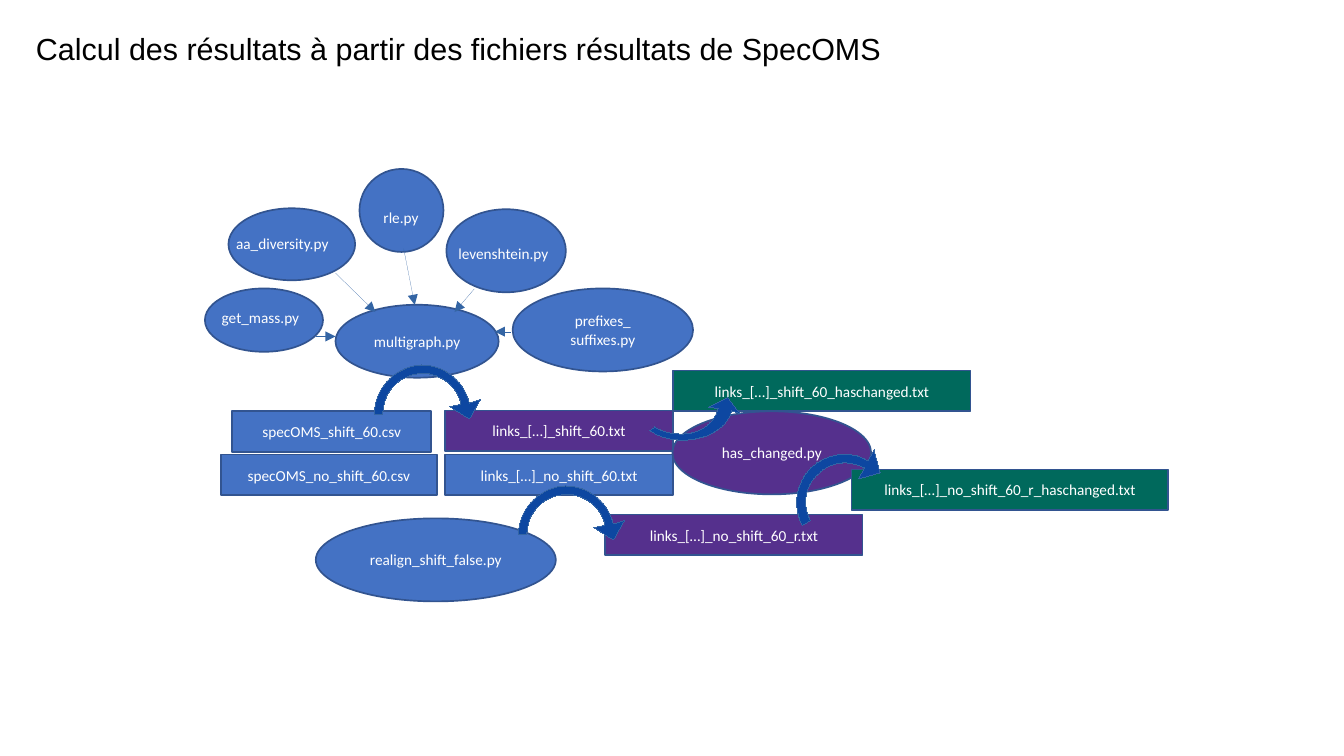
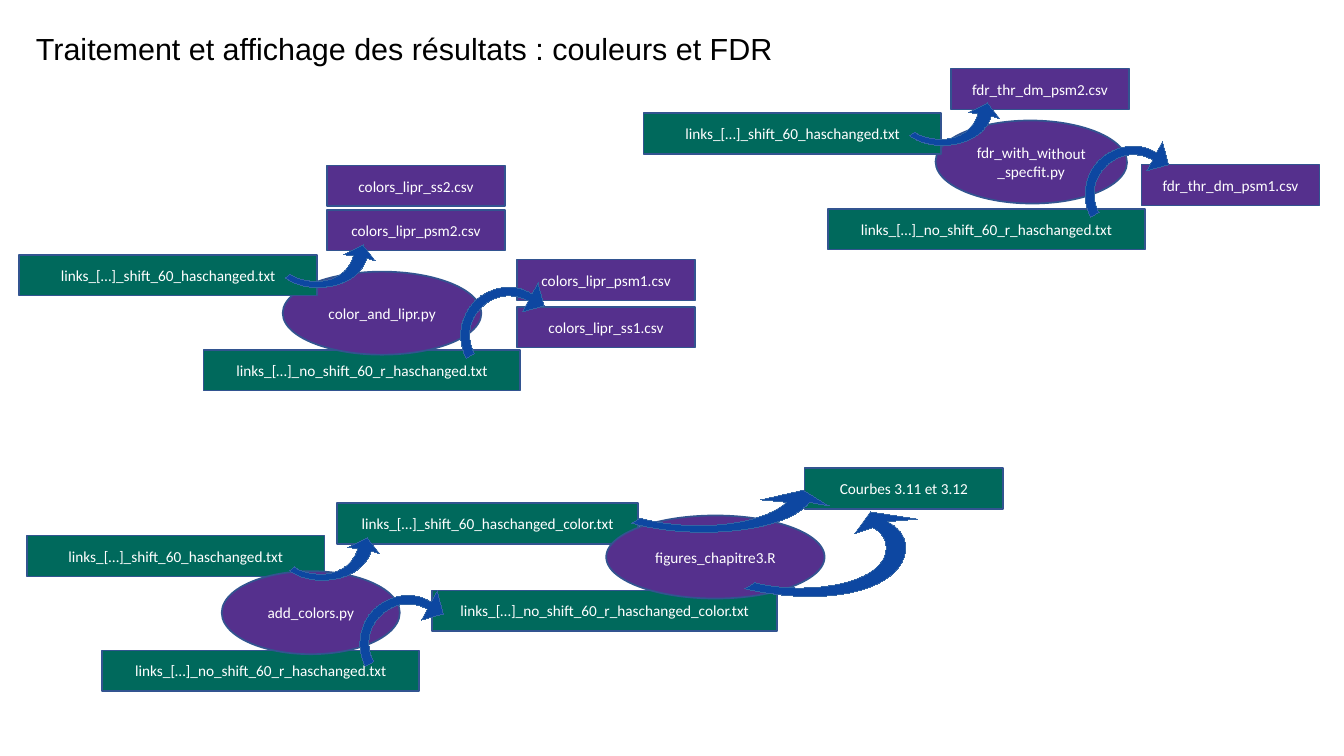
"""Builds two slides that chart how scripts turn result files into new files."""
from lxml.etree import SubElement
from pptx import Presentation
from pptx.dml.color import RGBColor as Rgb
from pptx.enum.shapes import MSO_CONNECTOR as Link, MSO_SHAPE as Form
from pptx.enum.text import MSO_ANCHOR as Anchor, PP_ALIGN as Align
from pptx.oxml.ns import qn
from pptx.util import Cm, Pt

TONES = {
    "blue": "4472C4", "purple": "55308D", "green": "00695C", "edge": "325490",
    "arrow": "0D47A1", "line": "3465A4", "white": "FFFFFF", "black": "000000",
}
BAR, OVAL = 0.85, 1.73
UNIT = Cm(0.0254)

LOOP = [
    (71, 32), (68, 16, 52, 5, 36, 7), (19, 9, 7, 23, 7, 40), (0, 40),
    (0, 20, 15, 3, 35, 0), (55, -2, 73, 11, 78, 31), (87, 28), (78, 44), (62, 34),
]
HOOK = [
    (69, 37), (66, 49, 54, 58, 39, 58), (31, 58, 23, 56, 17, 52), (13, 55),
    (20, 60, 29, 63, 40, 63), (60, 63, 76, 53, 80, 39), (87, 41), (77, 28), (61, 36),
]
TURN = [
    (55, 11), (42, 4, 27, 6, 17, 16), (6, 26, 4, 42, 11, 54), (4, 58),
    (-4, 42, -1, 23, 11, 11), (24, -1, 43, -4, 58, 5), (63, -4), (68, 15), (50, 20),
]
SWEEP = [
    (156, 38), (138, 55, 85, 64, 36, 51), (29, 55),
    (77, 69, 154, 64, 175, 38), (191, 41), (170, 28), (135, 36),
]
SWING = [
    (145, 25), (152, 28, 156, 35, 156, 41), (156, 72, 89, 81, 48, 70), (40, 75),
    (113, 92, 172, 74, 172, 41), (172, 31, 165, 24, 157, 20), (182, 18), (143, 12), (130, 30),
]

SHIFT = "links_[…]_shift_60_haschanged.txt"
FIXED = "links_[…]_no_shift_60_r_haschanged.txt"


def tint(name):
    return Rgb.from_string(TONES[name])


def write(frame, text, size=9, font="Calibri", tone="white", align=Align.CENTER):
    for num, line in enumerate(text.split("\n")):
        para = frame.add_paragraph() if num else frame.paragraphs[0]
        para.alignment = align
        run = para.add_run()
        run.text = line
        run.font.size = Pt(size)
        run.font.name = font
        run.font.color.rgb = tint(tone)


def bend(shape, steps):
    left, top = (min(step[i] for step in steps) for i in (-2, -1))
    for leg, step in zip(list(shape._element.iter(qn("a:lnTo"))), steps[1:]):
        if len(step) == 6:
            curve = leg.getparent().makeelement(qn("a:cubicBezTo"))
            for x, y in zip(step[::2], step[1::2]):
                SubElement(curve, qn("a:pt"), x=str((x - left) * UNIT), y=str((y - top) * UNIT))
            leg.getparent().replace(leg, curve)


class Deck:
    def __init__(self):
        self.show = Presentation()
        self.show.slide_width, self.show.slide_height = Cm(28), Cm(15.75)

    def page(self, title):
        self.slide = self.show.slides.add_slide(self.show.slide_layouts[6])
        self.label(title, 0.5, 0.51, 25, 1.68, size=18, font="Arial", tone="black")

    def label(self, text, x, y, wide, high=0.64, **style):
        frame = self.slide.shapes.add_textbox(Cm(x), Cm(y), Cm(wide), Cm(high)).text_frame
        frame.word_wrap = True
        write(frame, text, align=Align.LEFT, **style)

    def stroke(self, shape, tone, width):
        shape.line.color.rgb = tint(tone)
        line = shape.line._get_or_add_ln()
        line.set("w", str(Pt(width)))
        return line

    def paint(self, shape, fill, edge, width):
        shape.shadow.inherit = False
        shape.fill.solid()
        shape.fill.fore_color.rgb = tint(fill)
        self.stroke(shape, edge, width)

    def node(self, form, text, x, y, wide, high, tone):
        shape = self.slide.shapes.add_shape(form, Cm(x), Cm(y), Cm(wide), Cm(high))
        self.paint(shape, tone, "edge", 0.99)
        if text:
            shape.text_frame.vertical_anchor = Anchor.MIDDLE
            write(shape.text_frame, text)
        return shape

    def file(self, text, x, y, wide, tone):
        return self.node(Form.RECTANGLE, text, x, y, wide, BAR, tone)

    def code(self, text, x, y, wide, tone="purple", high=OVAL):
        return self.node(Form.OVAL, text, x, y, wide, high, tone)

    def arrow(self, steps, x, y):
        first, *rest = [(step[-2] * UNIT, step[-1] * UNIT) for step in steps]
        pen = self.slide.shapes.build_freeform(*first)
        pen.add_line_segments(rest, close=True)
        shape = pen.convert_to_shape(Cm(x), Cm(y))
        bend(shape, steps)
        self.paint(shape, "arrow", "line", 0)

    def link(self, *ends):
        line = self.slide.shapes.add_connector(Link.STRAIGHT, *map(Cm, ends))
        SubElement(self.stroke(line, "line", 0), qn("a:tailEnd"), type="triangle")
        SubElement(line._element.spPr, qn("a:effectLst"))


deck = Deck()

deck.page("Calcul des résultats à partir des fichiers résultats de SpecOMS")
deck.code("multigraph.py", 6.99, 6.35, 3.4, "blue", 1.52)
deck.file("specOMS_no_shift_60.csv", 4.6, 9.47, 4.5, "blue")
deck.file("links_[…]_no_shift_60.txt", 9.27, 9.47, 4.75, "blue")
for name, oval, text in [
    ("get_mass.py", (4.27, 6.01, 2.46, 1.32), (4.37, 6.3, 3.15)),
    ("aa_diversity.py", (4.76, 4.34, 2.64, 1.5), (4.67, 4.75, 2.74)),
    ("rle.py", (7.49, 3.52, 1.75, OVAL), (7.74, 4.22, 1.5)),
    ("levenshtein.py", (9.3, 4.36, 2.49, OVAL), (9.3, 4.97, 2.49)),
]:
    deck.code("", *oval[:3], "blue", oval[3])
    deck.label(name, *text)
deck.file("links_[…]_shift_60.txt", 9.27, 8.55, 4.75, "purple")
deck.file("specOMS_shift_60.csv", 4.84, 8.57, 4.14, "blue")
deck.code("prefixes_\nsuffixes.py", 10.68, 6.01, 3.76, "blue")
for ends in [
    (6.99, 5.69, 7.82, 6.5), (8.41, 5.18, 8.64, 6.35), (9.88, 6.02, 9.47, 6.5),
    (10.64, 6.91, 10.31, 6.91), (6.58, 7.01, 6.99, 7.01),
]:
    deck.link(*ends)
deck.code("realign_shift_false.py", 6.58, 10.8, 5, "blue")
deck.file("links_[…]_no_shift_60_r.txt", 12.61, 10.72, 5.36, "purple")
deck.code("has_changed.py", 14.01, 8.57, 4.14)
deck.file(SHIFT, 14.02, 7.72, 6.2, "green")
deck.file(FIXED, 17.74, 9.78, 6.6, "green")
deck.arrow(LOOP, 7.8, 7.61)
deck.arrow(LOOP, 10.8, 10.13)
deck.arrow(HOOK, 13.21, 7.57)
deck.arrow(TURN, 16.61, 9.47)

deck.page("Traitement et affichage des résultats\u00a0: couleurs et FDR")
deck.file(SHIFT, 0.56, 11.16, 6.2, "green")
deck.file(FIXED, 2.13, 13.55, 6.6, "green")
deck.code("add_colors.py", 4.62, 11.9, 3.71)
deck.file("links_[…]_shift_60_haschanged_color.txt", 7.02, 10.48, 6.27, "green")
deck.file("links_[…]_no_shift_60_r_haschanged_color.txt", 9, 12.3, 7.19, "green")
deck.code("figures_chapitre3.R", 12.63, 10.74, 4.55)
deck.file("Courbes 3.11 et 3.12", 16.76, 9.75, 4.14, "green")
deck.arrow(HOOK, 5.7, 10.49)
deck.arrow(TURN, 7.51, 12.41)
deck.arrow(SWEEP, 12.42, 9.5)
deck.arrow(SWING, 14.5, 10.36)

deck.code("fdr_with_without_specfit.py", 19.49, 2.51, 3.99).rotation = 0.3
deck.file(FIXED, 4.24, 7.29, 6.6, "green")
deck.code("color_and_lipr.py", 5.89, 5.66, 4.14)
for name, x, y in [
    ("psm2", 6.81, 4.37), ("ss2", 6.81, 3.45), ("ss1", 10.77, 6.39), ("psm1", 10.77, 5.41),
]:
    deck.file(f"colors_lipr_{name}.csv", x, y, 3.71, "purple")
deck.arrow(TURN, 9.61, 5.99)
deck.file(SHIFT, 0.4, 5.31, 6.2, "green")
deck.arrow(HOOK, 5.61, 4.39)

deck.file(FIXED, 17.25, 4.35, 6.6, "green")
deck.file("fdr_thr_dm_psm2.csv", 19.81, 1.43, 3.71, "purple")
deck.file("fdr_thr_dm_psm1.csv", 23.78, 3.43, 3.71, "purple")
deck.arrow(TURN, 22.62, 3.05)
deck.file(SHIFT, 13.41, 2.36, 6.2, "green")
deck.arrow(HOOK, 18.62, 1.43)

deck.show.save("out.pptx")
